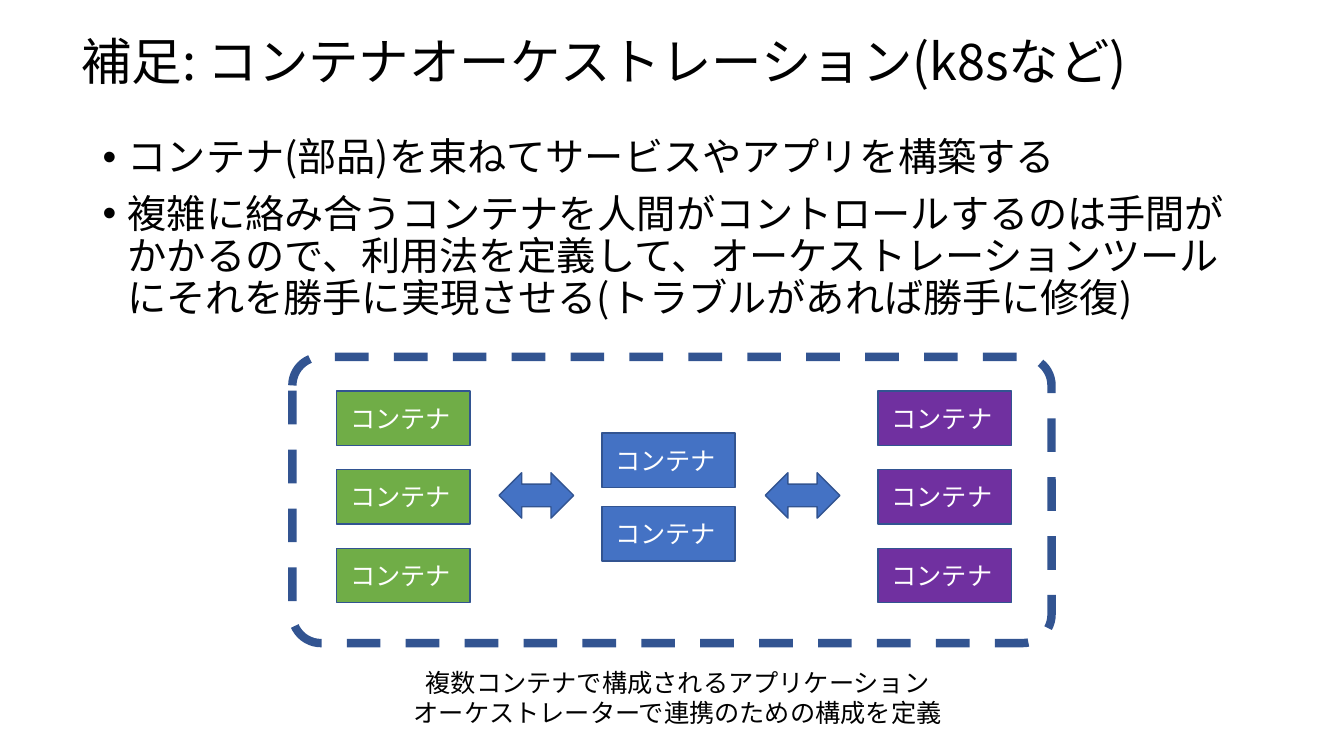
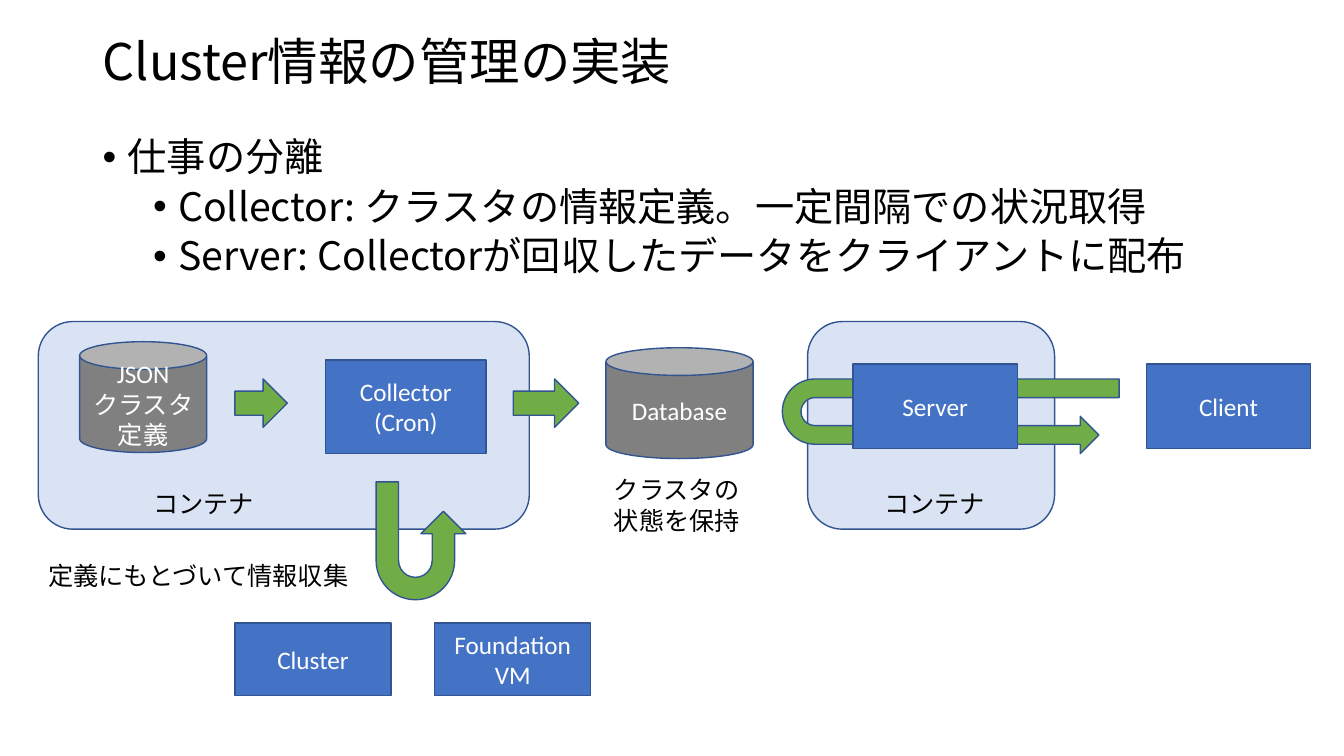
from lxml import etree
from pptx import Presentation
from pptx import util as u
from pptx.dml.color import RGBColor
from pptx.enum import dml, shapes, text
from pptx.oxml.ns import qn

GREEN, BLUE, PURPLE, GRAY = "70AD47", "4472C4", "7030A0", "808080"
PALE, EDGE, BLACK, WHITE = "DAE3F3", "325491", "000000", "FFFFFF"
JAPANESE, LATIN = "Noto Sans CJK JP", "Calibri"
KIND = shapes.MSO_SHAPE
CENTER = text.PP_ALIGN.CENTER


def color(code):
    return RGBColor.from_string(code)


class Deck:
    """Holds the shared style and the slide being built."""

    def __init__(self):
        self.prs = Presentation()
        self.prs.slide_width = u.Inches(13.33)
        self.prs.slide_height = u.Inches(7.5)
        self.slide = None

    def new_slide(self):
        self.slide = self.prs.slides.add_slide(self.prs.slide_layouts[6])

    def style(self, paragraph, size, ink, font=LATIN):
        paragraph.font.size = u.Pt(size)
        paragraph.font.color.rgb = color(ink)
        paragraph.font.name = font
        defaults = paragraph._p.pPr.find(qn("a:defRPr"))
        etree.SubElement(defaults, qn("a:ea")).set("typeface", JAPANESE)

    def lines(self, frame, content, ink, align=None):
        for i, line in enumerate(content.split("\n")):
            paragraph = frame.paragraphs[0] if i == 0 else frame.add_paragraph()
            paragraph.text = line
            paragraph.alignment = align
            self.style(paragraph, 18, ink)

    def text_box(self, place):
        box = self.slide.shapes.add_textbox(*map(u.Inches, place))
        box.text_frame.word_wrap = True
        return box.text_frame

    def title(self, content, left=0.92, width=11.5):
        frame = self.text_box((left, 0.19, width, 0.89))
        frame.vertical_anchor = text.MSO_ANCHOR.MIDDLE
        heading = frame.paragraphs[0]
        heading.text = content
        heading.line_spacing = 0.9
        self.style(heading, 36, BLACK, JAPANESE)

    def bullets(self, items):
        """Items are (level, wording) pairs."""
        frame = self.text_box((0.92, 1.32, 11.5, 5.99))
        for i, (level, wording) in enumerate(items):
            item = frame.paragraphs[0] if i == 0 else frame.add_paragraph()
            item.text = wording
            item.level = level
            item.line_spacing = 0.9
            if i:
                item.space_before = u.Pt(5 if level else 10)
            props = item._p.get_or_add_pPr()
            props.set("marL", str(u.Inches(0.25 + 0.5 * level)))
            props.set("indent", str(u.Inches(-0.25)))
            etree.SubElement(props, qn("a:buFont")).set("typeface", "Arial")
            etree.SubElement(props, qn("a:buChar")).set("char", "•")
            self.style(item, 28, BLACK, JAPANESE)

    def label(self, place, content, align=None):
        frame = self.text_box(place)
        frame.word_wrap = False
        frame.auto_size = text.MSO_AUTO_SIZE.SHAPE_TO_FIT_TEXT
        self.lines(frame, content, BLACK, align)

    def shape(self, kind, place, fill=None, content="", adjust=()):
        shape = self.slide.shapes.add_shape(kind, *map(u.Inches, place))
        shape.shadow.inherit = False
        if fill:
            shape.fill.solid()
            shape.fill.fore_color.rgb = color(fill)
        else:
            shape.fill.background()
        shape.line.color.rgb = color(EDGE)
        shape.line.width = u.Pt(1)
        for i, value in enumerate(adjust):
            shape.adjustments[i] = value
        if content:
            shape.text_frame.vertical_anchor = text.MSO_ANCHOR.MIDDLE
            self.lines(shape.text_frame, content, WHITE, CENTER)
        return shape

    def uturn(self, place, rotation, adjust=()):
        arrow = self.shape(KIND.U_TURN_ARROW, place, GREEN, adjust=adjust)
        arrow.rotation = rotation
        arrow._element.spPr.find(qn("a:xfrm")).set("flipH", "1")


def orchestration(deck):
    deck.new_slide()
    deck.title("補足: コンテナオーケストレーション(k8sなど)", 0.71, 12.01)
    deck.bullets([
        (0, "コンテナ(部品)を束ねてサービスやアプリを構築する"),
        (0, "複雑に絡み合うコンテナを人間がコントロールするのは手間がかかるので、"
            "利用法を定義して、オーケストレーションツールにそれを勝手に実現させる"
            "(トラブルがあれば勝手に修復)"),
    ])

    # Columns of containers, each centred on the same height
    width, height, middle = 1.32, 0.54, 4.93
    for left, fill, count, pitch in ((3.34, GREEN, 3, 0.78),
                                     (5.97, BLUE, 2, 0.73),
                                     (8.71, PURPLE, 3, 0.78)):
        first = middle - height / 2 - pitch * (count - 1) / 2
        for row in range(count):
            deck.shape(KIND.RECTANGLE, (left, first + row * pitch, width, height),
                       fill, "コンテナ ")
    for left in (4.95, 7.59):
        deck.shape(KIND.LEFT_RIGHT_ARROW, (left, 4.69, 0.74, 0.45), BLUE)

    # Application frame and caption
    application = deck.shape(KIND.ROUNDED_RECTANGLE, (2.9, 3.54, 7.53, 2.84),
                             adjust=(0.1,))
    application.line.width = u.Pt(6)
    application.line.dash_style = dml.MSO_LINE.DASH
    deck.label((3.97, 6.57, 5.5, 0.71),
               "複数コンテナで構成されるアプリケーション\n"
               "オーケストレーターで連携のための構成を定義", CENTER)


def cluster_management(deck):
    deck.new_slide()
    # Container backgrounds
    for left, width in ((8.01, 2.45), (0.38, 4.87)):
        deck.shape(KIND.ROUNDED_RECTANGLE, (left, 3.19, width, 2.06), PALE)

    deck.title("Cluster情報の管理の実装")
    deck.bullets([
        (0, "仕事の分離"),
        (1, "Collector: クラスタの情報定義。一定間隔での状況取得"),
        (1, "Server: Collectorが回収したデータをクライアントに配布"),
    ])

    # Data stores
    deck.shape(KIND.CAN, (0.79, 3.39, 1.26, 1.1), GRAY, "JSON\nクラスタ定義")
    deck.shape(KIND.CAN, (6.01, 3.45, 1.46, 1.1), GRAY, "Database")

    # Arrows; the server box covers part of the second U-turn
    for left, width in ((2.33, 0.52), (5.09, 0.65)):
        deck.shape(KIND.RIGHT_ARROW, (left, 3.76, width, 0.48), GREEN)
    deck.uturn((3.73, 4.78, 0.89, 1.17), 180)
    deck.uturn((9.06, 2.46, 0.74, 3.34), 270, (0.25, 0.25, 0.25, 0.44, 0.94))

    # Processes and machines
    for place, name in (((3.23, 3.57, 1.59, 0.93), "Collector\n(Cron)"),
                        ((2.33, 6.18, 1.55, 0.72), "Cluster"),
                        ((4.31, 6.18, 1.55, 0.72), "Foundation\nVM"),
                        ((8.46, 3.61, 1.63, 0.84), "Server"),
                        ((11.37, 3.61, 1.63, 0.84), "Client")):
        deck.shape(KIND.RECTANGLE, place, BLUE, name)

    # Captions
    for left in (1.42, 8.67):
        deck.label((left, 4.8, 1.21, 0.4), "コンテナ")
    deck.label((5.99, 4.66, 1.46, 0.71), "クラスタの\n状態を保持")
    deck.label((0.38, 5.51, 3.23, 0.4), "定義にもとづいて情報収集")


def main():
    deck = Deck()
    orchestration(deck)
    cluster_management(deck)
    deck.prs.save("out.pptx")


if __name__ == "__main__":
    main()
